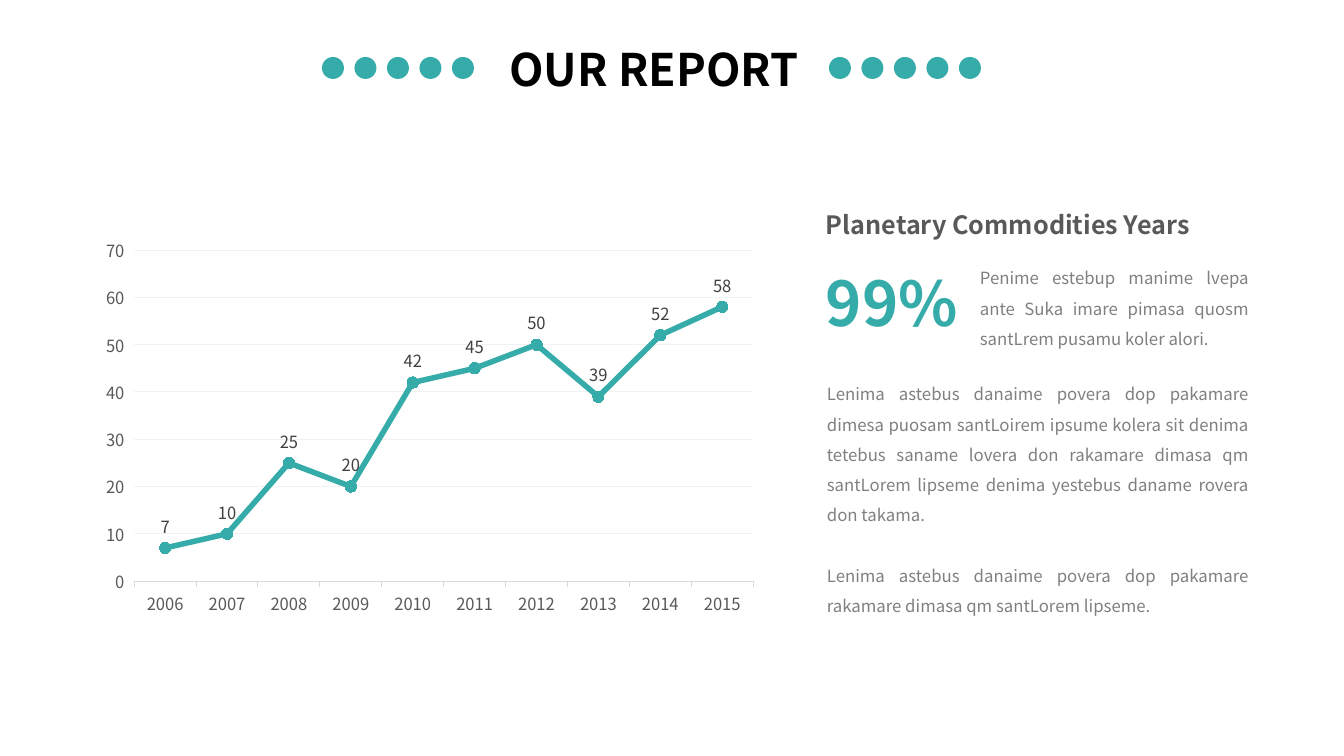
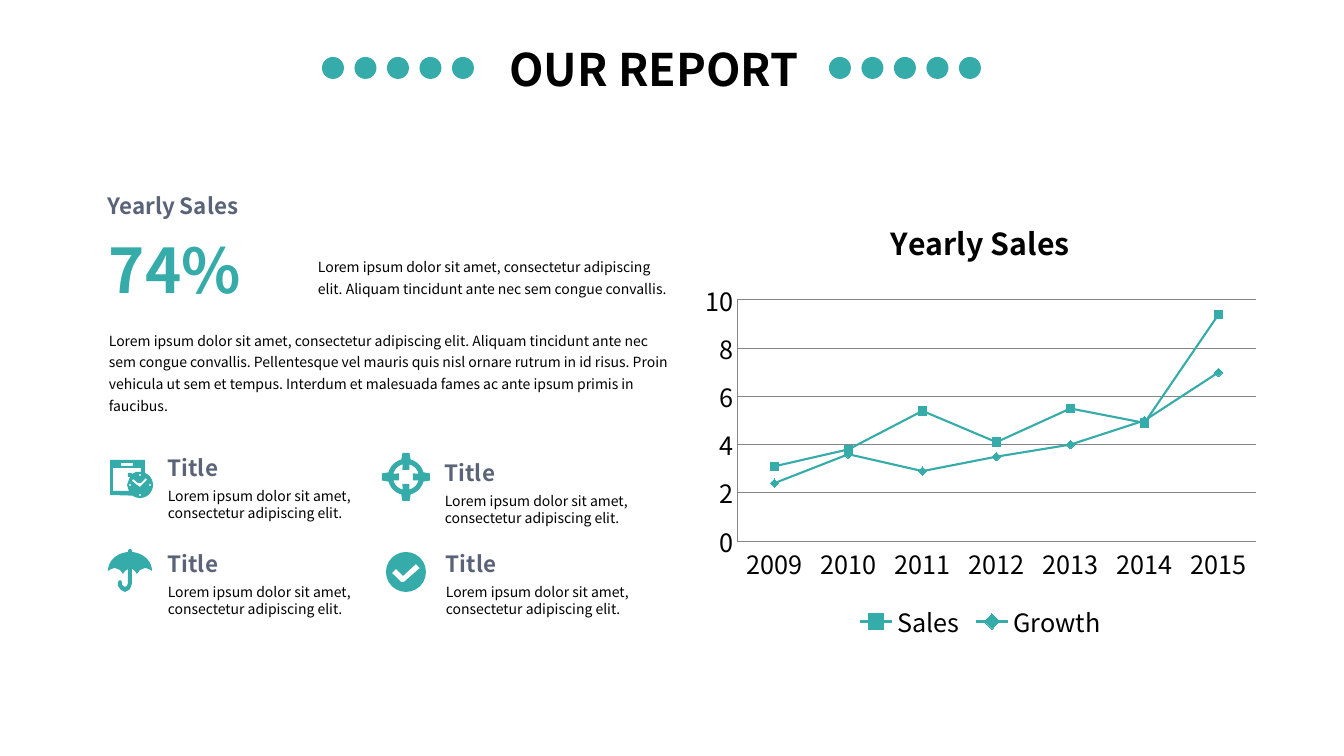
"""Build two slides: a line chart with commentary, and a sales summary with icons."""
from math import cos, radians, sin

from pptx import Presentation
from pptx.chart.data import CategoryChartData
from pptx.dml.color import RGBColor
from pptx.enum.chart import (XL_CHART_TYPE, XL_LABEL_POSITION, XL_LEGEND_POSITION,
                             XL_MARKER_STYLE, XL_TICK_MARK)
from pptx.enum.shapes import MSO_SHAPE
from pptx.enum.text import MSO_AUTO_SIZE, PP_ALIGN
from pptx.oxml import parse_xml
from pptx.util import Emu, Pt

PX = 914400 / 100.8
FONT = "Noto Sans CJK JP"
TEAL, BLACK, SLATE = "35ACA9", "000000", "5A6378"
DARK, MID, GREY = "404040", "595959", "808080"
AXIS_GREY, PALE, RULE_GREY = "D9D9D9", "F2F2F2", "868686"

STYLES = {
    "title": dict(size=32, color=BLACK, bold=True, wrap=False, align=PP_ALIGN.CENTER),
    "heading": dict(size=18, color=MID, bold=True, wrap=False),
    "subheading": dict(size=16, color=SLATE, bold=True, wrap=False),
    "figure": dict(size=44, color=TEAL, bold=True, wrap=False),
    "justified": dict(size=12, color=GREY, align=PP_ALIGN.JUSTIFY, spacing=1.5, gap=21.6),
    "body": dict(size=10, color=BLACK, spacing=1.3),
    "caption": dict(size=10, color=BLACK),
}

TITLE = "OUR REPORT"
TITLE_BOX = (489, 37, 330, 65)
DOT_ROWS, DOT_TOP, DOT_SIZE, DOT_SPAN, DOT_COUNT = (322, 829), 57, 22, 130, 5

COMMODITIES = {
    "box": (106, 233, 657, 477),
    "categories": [str(year) for year in range(2006, 2016)],
    "series": [("Series 1", (7, 10, 25, 20, 42, 45, 50, 39, 52, 58))],
}
COMMODITIES_PLOT = dict(x=0.03, y=0.036, w=0.955, h=0.694)
COMMODITIES_TEXTS = [
    ("heading", (816, 204, 387, 40), ["Planetary Commodities Years"]),
    ("justified", (817, 369, 442, 254), [
        "Lenima astebus danaime povera dop pakamare dimesa puosam santLoirem ipsume kolera "
        "sit denima tetebus saname lovera don rakamare dimasa qm santLorem lipseme denima "
        "yestebus daname rovera don takama.",
        "Lenima astebus danaime povera dop pakamare rakamare dimasa qm santLorem lipseme."]),
    ("justified", (970, 253, 289, 102), [
        "Penime estebup manime lvepa ante Suka imare pimasa quosm santLrem pusamu koler alori."]),
    ("figure", (816, 260, 161, 85), ["99%"]),
]

SALES = {
    "box": (694, 196, 573, 449),
    "categories": [str(year) for year in range(2009, 2016)],
    "series": [("Sales", (3.1, 3.8, 5.4, 4.1, 5.5, 4.9, 9.4)),
               ("Growth", (2.4, 3.6, 2.9, 3.5, 4, 5, 7))],
}
SALES_TITLE = "Yearly Sales"
SALES_TEXTS = [
    ("body", (99, 322, 586, 96), [
        "Lorem ipsum dolor sit amet, consectetur adipiscing elit. Aliquam tincidunt ante nec "
        "sem congue convallis. Pellentesque vel mauris quis nisl ornare rutrum in id risus. "
        "Proin vehicula ut sem et tempus. Interdum et malesuada fames ac ante ipsum primis in "
        "faucibus."]),
    ("subheading", (98, 187, 160, 37), [SALES_TITLE]),
    ("body", (308, 249, 376, 74), [
        "Lorem ipsum dolor sit amet, consectetur adipiscing elit. Aliquam tincidunt ante nec "
        "sem congue convallis."]),
    ("figure", (99, 227, 158, 85), ["74%"]),
]
FEATURE_TITLE = "Title"
FEATURE_CAPTION = "Lorem ipsum dolor sit amet, consectetur adipiscing elit."
FEATURES = [("schedule", (140, 485), (158, 449)), ("target", (406, 477), (435, 454)),
            ("umbrella", (130, 571), (158, 545)), ("tick", (406, 572), (436, 545))]


def arc(radius, start, end, center=(0, 0), height=None):
    """Return points along an arc, in degrees clockwise from the right."""
    steps = 24
    angles = [radians(start + (end - start) * i / steps) for i in range(steps + 1)]
    return [(center[0] + radius * cos(a), center[1] + (height or radius) * sin(a))
            for a in angles]


def armed_ring(radius, tip, half=3.5):
    """Return a circle outline whose four arms end at tip."""
    outline = []
    for turn in (0, 90, 180, 270):
        c, s = cos(radians(turn)), sin(radians(turn))
        arm = [(tip, -half), (tip, half)]
        outline += [(x * c - y * s, x * s + y * c) for x, y in arm]
        outline += arc(radius, turn + 15, turn + 75)
    return outline


RIM = [(19, -2), (15, -3), (10, -1), (7, 3), (5, 0), (2, -2)]
HOOK = [(2, 12), (1, 16), (-1, 19), (-5, 21), (-9, 19), (-12, 15), (-12, 11), (-10, 9),
        (-8, 11), (-8, 14), (-5, 16), (-3, 15), (-2, 12)]
ICONS = {
    "schedule": [
        [(-30, -25), (5, -25), (5, -12)] + arc(13, -65, 125) + [(-30, 10)],
        [(-27, -17), (1, -17), (1, -13), (-4, -13), (-8, -11), (-9, -12), (-12, -12),
         (-12, -8), (-10, -8), (-13, 0), (-11, 6), (-27, 6)],
        [(-19, -22), (-7, -22), (-7, -19), (-19, -19)],
        [(7, -5), (2, 0), (0, 2), (-3, 0), (-8, -4), (-7, -6), (-2, -2), (1, -2), (6, -7)],
    ] + [arc(1, 0, 360, center) for center in ((0, -10), (10, 0), (0, 10), (-10, 0))],
    "target": [armed_ring(18, 24), armed_ring(13, 7)],
    "umbrella": [arc(22, 180, 265, height=19) + [(-2, -21), (0, -22), (2, -21)]
                 + arc(22, 275, 360, height=19) + RIM + HOOK
                 + [(-x, y) for x, y in reversed(RIM)]],
    "tick": [arc(20, 0, 360),
             [(14, -4), (10, -8), (-3, 4), (-10, -3), (-14, 1), (-5, 10), (-2, 10)]],
}


def px(*lengths):
    return [Emu(round(length * PX)) for length in lengths]


def rgb(color):
    return RGBColor.from_string(color)


def set_font(font, size, color, bold=False):
    font.name, font.size, font.bold = FONT, Pt(size), bold
    font.color.rgb = rgb(color)


def set_line(line, color, width):
    line.color.rgb = rgb(color)
    line.width = Pt(width)


def paint(shape):
    shape.shadow.inherit = False
    shape.fill.solid()
    shape.fill.fore_color.rgb = rgb(TEAL)
    shape.line.fill.background()


def add_text(slide, style_name, box, paragraphs):
    style = STYLES[style_name]
    frame = slide.shapes.add_textbox(*px(*box)).text_frame
    frame.word_wrap = style.get("wrap", True)
    frame.auto_size = MSO_AUTO_SIZE.SHAPE_TO_FIT_TEXT
    for index, text in enumerate(paragraphs):
        paragraph = frame.add_paragraph() if index else frame.paragraphs[0]
        paragraph.text = text
        paragraph.alignment = style.get("align", PP_ALIGN.LEFT)
        paragraph.line_spacing = style.get("spacing", 1.0)
        if index:
            paragraph.space_before = Pt(style.get("gap", 0))
        set_font(paragraph.font, style["size"], style["color"], style.get("bold", False))


def add_header(slide):
    add_text(slide, "title", TITLE_BOX, [TITLE])
    for row_left in DOT_ROWS:
        for index in range(DOT_COUNT):
            left = row_left + index * DOT_SPAN / (DOT_COUNT - 1)
            paint(slide.shapes.add_shape(MSO_SHAPE.OVAL, *px(left, DOT_TOP, DOT_SIZE, DOT_SIZE)))


def add_icon(slide, contours, center):
    builder = None
    for contour in contours:
        points = [px(center[0] + x, center[1] + y) for x, y in contour]
        if builder is None:
            builder = slide.shapes.build_freeform(*points[0], scale=1.0)
        else:
            builder.move_to(*points[0])
        builder.add_line_segments(points[1:], close=True)
    paint(builder.convert_to_shape())


def add_line_chart(slide, content, font_size, font_color, line_width, markers, marker_size):
    data = CategoryChartData()
    data.categories = content["categories"]
    for name, values in content["series"]:
        data.add_series(name, values)
    chart = slide.shapes.add_chart(
        XL_CHART_TYPE.LINE_MARKERS, *px(*content["box"]), data).chart
    set_font(chart.font, font_size, font_color)
    chart.has_legend = chart.has_title = False
    chart.plots[0].vary_by_categories = False
    for series, marker in zip(chart.plots[0].series, markers):
        series.smooth = False
        set_line(series.format.line, TEAL, line_width)
        series.marker.style, series.marker.size = marker, marker_size
        series.marker.format.fill.solid()
        series.marker.format.fill.fore_color.rgb = rgb(TEAL)
        set_line(series.marker.format.line, TEAL, 0.75)
    return chart


def style_axes(chart, top, step, tick, axis_color, grid_color):
    for axis in (chart.category_axis, chart.value_axis):
        axis.major_tick_mark, axis.minor_tick_mark = tick, XL_TICK_MARK.NONE
        set_line(axis.format.line, axis_color, 0.75)
    values = chart.value_axis
    values.minimum_scale, values.maximum_scale, values.major_unit = 0, top, step
    values.has_major_gridlines = True
    set_line(values.major_gridlines.format.line, grid_color, 0.75)


def place_plot(chart, x, y, w, h):
    """Fix the inner plot area as fractions of the chart."""
    plot_area = chart.plots[0]._element.getparent()
    for layout in plot_area.findall("{*}layout"):
        plot_area.remove(layout)
    modes = '<c:xMode val="edge"/><c:yMode val="edge"/>'
    sizes = f'<c:x val="{x}"/><c:y val="{y}"/><c:w val="{w}"/><c:h val="{h}"/>'
    plot_area.insert(0, parse_xml(
        '<c:layout xmlns:c="http://schemas.openxmlformats.org/drawingml/2006/chart">'
        f'<c:manualLayout><c:layoutTarget val="inner"/>{modes}{sizes}'
        '</c:manualLayout></c:layout>'))


def build_commodities(slide):
    chart = add_line_chart(slide, COMMODITIES, 12, MID, 4, [XL_MARKER_STYLE.CIRCLE], 8)
    style_axes(chart, 70, 10, XL_TICK_MARK.OUTSIDE, AXIS_GREY, PALE)
    chart.value_axis.format.line.fill.background()
    place_plot(chart, **COMMODITIES_PLOT)
    labels = chart.plots[0].series[0].data_labels
    labels.show_value = True
    labels.position = XL_LABEL_POSITION.ABOVE
    set_font(labels.font, 12, DARK)
    for text in COMMODITIES_TEXTS:
        add_text(slide, *text)


def build_sales(slide):
    chart = add_line_chart(slide, SALES, 18, BLACK, 1.5,
                           [XL_MARKER_STYLE.SQUARE, XL_MARKER_STYLE.DIAMOND], 6)
    style_axes(chart, 10, 2, XL_TICK_MARK.NONE, RULE_GREY, RULE_GREY)
    chart.has_title = True
    heading = chart.chart_title.text_frame
    heading.text = SALES_TITLE
    set_font(heading.paragraphs[0].font, 21.6, BLACK, True)
    chart.has_legend = True
    chart.legend.position = XL_LEGEND_POSITION.BOTTOM
    chart.legend.include_in_layout = False
    for text in SALES_TEXTS:
        add_text(slide, *text)
    for icon, center, (left, top) in FEATURES:
        add_text(slide, "subheading", (left, top, 77, 37), [FEATURE_TITLE])
        add_text(slide, "caption", (left, top + 34, 247, 44), [FEATURE_CAPTION])
        add_icon(slide, ICONS[icon], center)


def main():
    deck = Presentation()
    deck.slide_width, deck.slide_height = px(1344, 756)
    for build in (build_commodities, build_sales):
        slide = deck.slides.add_slide(deck.slide_layouts[6])
        build(slide)
        add_header(slide)
    deck.save("out.pptx")


if __name__ == "__main__":
    main()
